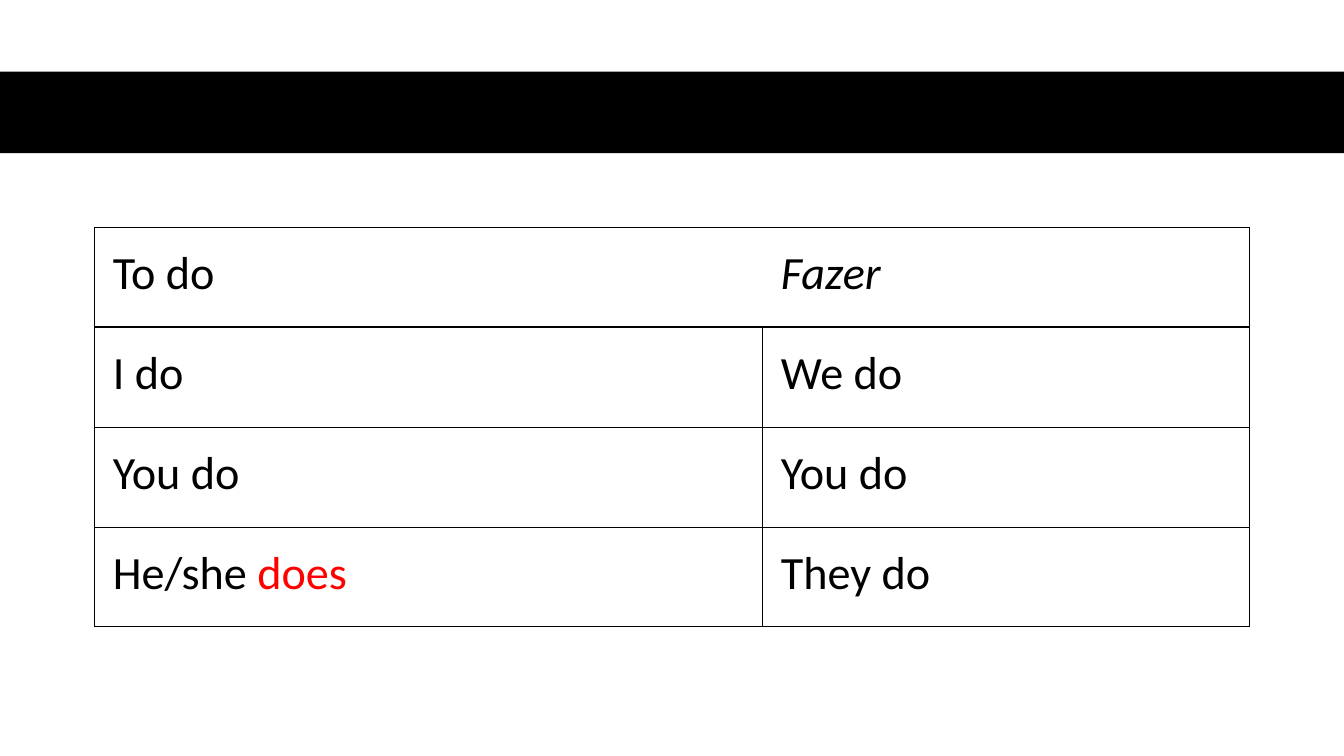
from pptx import Presentation
from pptx.dml.color import RGBColor
from pptx.enum import shapes
from pptx.oxml.ns import qn
from pptx.util import Pt
from lxml import etree

COLORS = {"ink": "000000", "accent": "FF0000"}
FONT, SIZE = "Calibri", 33
ROWS = [
    [[("To do", "ink")], [("Fazer", "ink")]],
    [[("I do", "ink")], [("We do", "ink")]],
    [[("You do", "ink")], [("You do", "ink")]],
    [[("He/she ", "ink"), ("does", "accent")], [("They do", "ink")]],
]
SLIDE_W, SLIDE_H = 960, 540
BAND_TOP, BAND_H = 51.2, 58.2
LEFT, TOP = 67.6, 162.3
COL_WIDTHS = [477.2, 347.8]
ROW_H, INSET = 71.4, 13
THIN, THICK = 0.75, 1.5


def rgb(name):
    return RGBColor.from_string(COLORS[name])


def set_borders(cell, widths):
    tcPr = cell._tc.get_or_add_tcPr()
    for i, (side, width) in enumerate(widths.items()):
        ln = etree.Element(qn("a:" + side), w=str(Pt(width)))
        if width:
            fill = etree.SubElement(ln, qn("a:solidFill"))
            etree.SubElement(fill, qn("a:srgbClr"), val=COLORS["ink"])
        else:
            etree.SubElement(ln, qn("a:noFill"))
        tcPr.insert(i, ln)


def add_band(s):
    sp = s.shapes.add_shape(shapes.MSO_SHAPE.RECTANGLE, 0, Pt(BAND_TOP), Pt(SLIDE_W), Pt(BAND_H))
    sp.shadow.inherit = False
    sp.fill.solid()
    sp.fill.fore_color.rgb = rgb("ink")
    sp.line.fill.background()


def fill_cell(cell, runs, italic):
    cell.fill.background()
    cell.margin_left = cell.margin_right = Pt(INSET)
    cell.margin_top = cell.margin_bottom = Pt(INSET)
    p = cell.text_frame.paragraphs[0]
    p.font.name, p.font.size = FONT, Pt(SIZE)
    p.font.bold, p.font.italic = False, italic
    for words, color in runs:
        r = p.add_run()
        r.text = words
        r.font.color.rgb = rgb(color)


def add_verb_table(s):
    frame = s.shapes.add_table(len(ROWS), len(COL_WIDTHS), Pt(LEFT), Pt(TOP),
                               Pt(sum(COL_WIDTHS)), Pt(ROW_H * len(ROWS)))
    table = frame.table
    table.first_row = table.horz_banding = False
    for col, width in zip(table.columns, COL_WIDTHS):
        col.width = Pt(width)
    for i, row in enumerate(ROWS):
        table.rows[i].height = Pt(ROW_H)
        for j, runs in enumerate(row):
            cell = table.cell(i, j)
            header = i == 0
            fill_cell(cell, runs, header and j == 1)
            set_borders(cell, {
                "lnL": 0 if header and j == 1 else THIN,
                "lnR": 0 if header and j == 0 else THIN,
                "lnT": THICK if i == 1 else THIN,
                "lnB": THICK if header else THIN,
            })


def main():
    prs = Presentation()
    prs.slide_width, prs.slide_height = Pt(SLIDE_W), Pt(SLIDE_H)
    s = prs.slides.add_slide(prs.slide_layouts[6])
    add_band(s)
    add_verb_table(s)
    prs.save("out.pptx")


if __name__ == "__main__":
    main()
